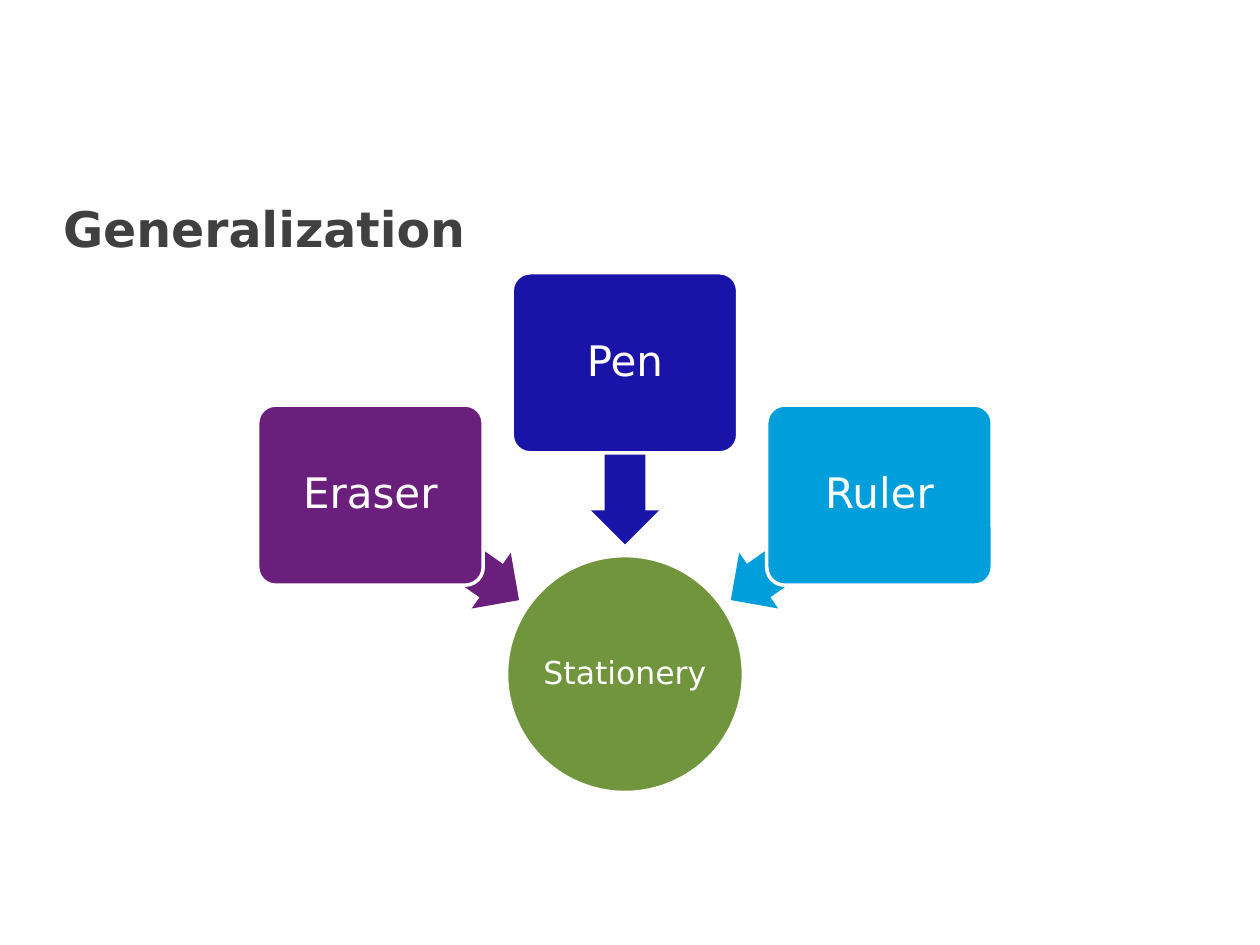
"""Build a slide showing pen, eraser and ruler generalized as stationery."""
from pptx import Presentation
from pptx.dml.color import RGBColor
from pptx.enum.shapes import MSO_SHAPE
from pptx.enum.text import MSO_ANCHOR, PP_ALIGN
from pptx.util import Inches, Pt

OVAL, BOX, ARROW = MSO_SHAPE.OVAL, MSO_SHAPE.ROUNDED_RECTANGLE, MSO_SHAPE.LEFT_ARROW
MIDDLE, LEFT, CENTER = MSO_ANCHOR.MIDDLE, PP_ALIGN.LEFT, PP_ALIGN.CENTER
FONT = "DejaVu Sans"
COLORS = {"title": "404040", "white": "FFFFFF", "Stationery": "71953D",
          "Eraser": "6B1F7C", "Pen": "1A13A8", "Ruler": "009FDB"}

prs = Presentation()
prs.slide_width, prs.slide_height = Inches(10), Inches(7.5)
slide = prs.slides.add_slide(prs.slide_layouts[5])


def set_text(frame, text, size, color, align, bold=False):
    frame.text = text
    frame.word_wrap = True
    frame.vertical_anchor = MIDDLE
    paragraph = frame.paragraphs[0]
    paragraph.alignment = align
    font = paragraph.font
    font.name, font.size, font.bold = FONT, Pt(size), bold
    font.color.rgb = RGBColor.from_string(COLORS[color])


def add_part(kind, center_x, center_y, width, height, concept, size=None, inset=0.05):
    part = slide.shapes.add_shape(kind, Inches(center_x - width / 2), Inches(center_y - height / 2),
                                  Inches(width), Inches(height))
    part.shadow.inherit = False
    part.fill.solid()
    part.fill.fore_color.rgb = RGBColor.from_string(COLORS[concept])
    if size is None:
        part.line.fill.background()
        return part
    part.line.color.rgb = RGBColor.from_string(COLORS["white"])
    part.line.width = Pt(2)
    frame = part.text_frame
    frame.margin_left = frame.margin_right = frame.margin_top = frame.margin_bottom = Inches(inset)
    set_text(frame, concept, size, "white", CENTER)
    frame.paragraphs[0].line_spacing = 0.9
    return part


title = slide.shapes.title
title.left, title.top, title.width, title.height = Inches(0.4), Inches(1.46), Inches(9.11), Inches(0.7)
set_text(title.text_frame, "Generalization", 28, "title", LEFT, bold=True)

axis, column = 4.96, 2.02
add_part(OVAL, axis, 5.35, 1.88, 1.88, "Stationery", 18, 0.01)

arrow_reach = 1.43
for side, concept, box_y, arrow_y, angle in [(-1, "Eraser", 3.93, 4.35, 215),
                                             (0, "Pen", 2.88, 3.6, 270),
                                             (1, "Ruler", 3.93, 4.35, 325)]:
    arrow = add_part(ARROW, axis + side * arrow_reach, arrow_y, 1.44, 0.54, concept)
    arrow.adjustments[0], arrow.adjustments[1] = 0.6, 0.5
    arrow.rotation = angle
    box = add_part(BOX, axis + side * column, box_y, 1.79, 1.43, concept, 24)
    box.adjustments[0] = 0.1

prs.save("out.pptx")
